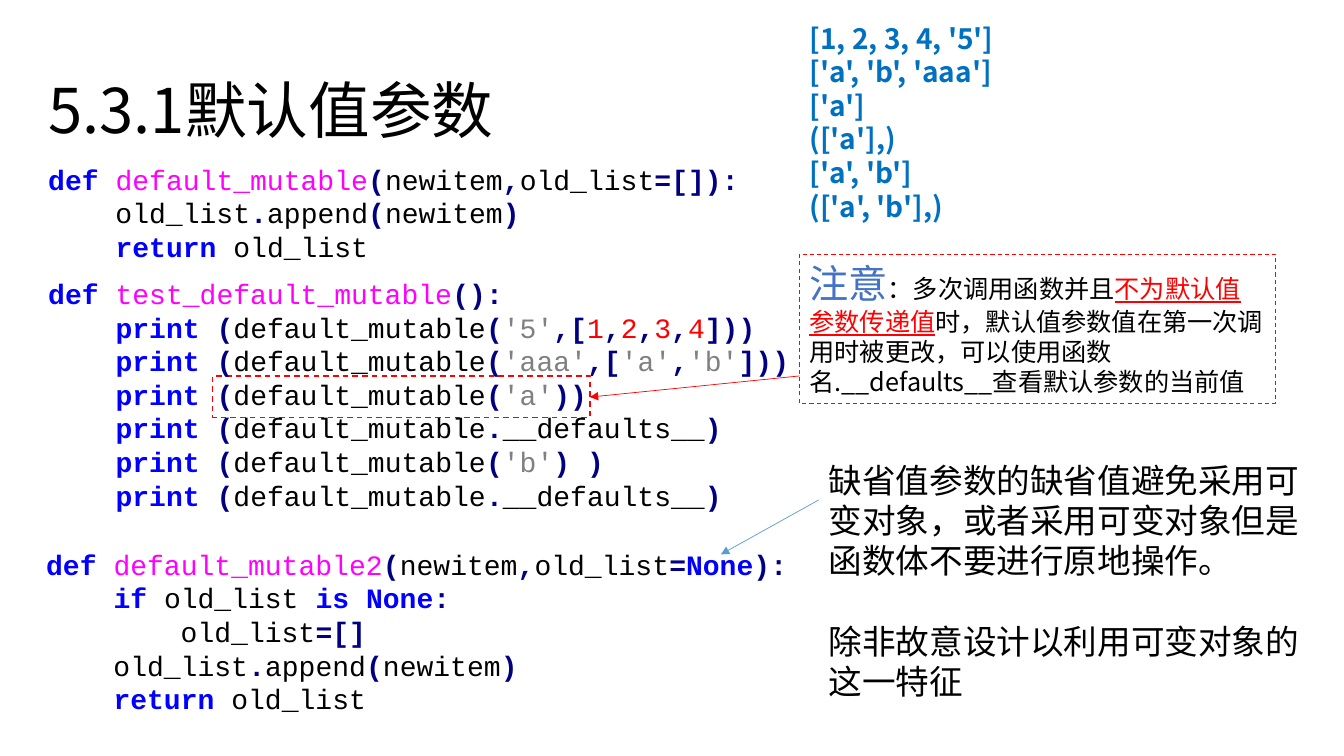
from dataclasses import dataclass
from itertools import groupby

from lxml import etree
from pptx import Presentation
from pptx.dml.color import RGBColor
from pptx.enum.dml import MSO_LINE
from pptx.enum.shapes import MSO_CONNECTOR, MSO_SHAPE
from pptx.enum.text import MSO_ANCHOR, PP_ALIGN
from pptx.oxml.ns import qn
from pptx.util import Inches, Pt

RECTANGLE = MSO_SHAPE.RECTANGLE
STRAIGHT = MSO_CONNECTOR.STRAIGHT
DASH = MSO_LINE.DASH
TOP, MIDDLE = MSO_ANCHOR.TOP, MSO_ANCHOR.MIDDLE
LEFT = PP_ALIGN.LEFT

BLACK = RGBColor(0x00, 0x00, 0x00)
RED = RGBColor(0xFF, 0x00, 0x00)
KEYWORD_BLUE = RGBColor(0x00, 0x00, 0xFF)
NAME_MAGENTA = RGBColor(0xFF, 0x00, 0xFF)
SYMBOL_NAVY = RGBColor(0x00, 0x00, 0x80)
STRING_GREY = RGBColor(0x80, 0x80, 0x80)
OUTPUT_BLUE = RGBColor(0x00, 0x70, 0xC0)
NOTE_BLUE = RGBColor(0x44, 0x72, 0xC4)
ARROW_BLUE = RGBColor(0x5B, 0x9B, 0xD5)

SANS = "Noto Sans CJK SC"
MONO = "Courier New"
KEYWORDS = {"def", "return", "print", "if", "is", "None"}

FIRST_CODE = """def default_mutable(newitem,old_list=[]):
    old_list.append(newitem)
    return old_list
def test_default_mutable():
    print (default_mutable('5',[1,2,3,4]))
    print (default_mutable('aaa',['a','b']))
    print (default_mutable('a'))
    print (default_mutable.__defaults__)
    print (default_mutable('b') )
    print (default_mutable.__defaults__)"""

SECOND_CODE = """def default_mutable2(newitem,old_list=None):
    if old_list is None:
        old_list=[]
    old_list.append(newitem)
    return old_list"""

OUTPUT = """[1, 2, 3, 4, '5']
['a', 'b', 'aaa']
['a']
(['a'],)
['a', 'b']
(['a', 'b'],)"""

ADVICE = [
    "缺省值参数的缺省值避免采用可变对象，或者采用可变对象但是函数体不要进行原地操作。",
    "除非故意设计以利用可变对象的这一特征",
]


@dataclass
class Span:
    text: str
    color: RGBColor = BLACK
    bold: bool = False
    underline: bool = False
    size: float = None


def character_class(character):
    if character == " ":
        return "space"
    return "word" if character.isalnum() or character in "_'" else "symbol"


def highlight(line):
    """Split one line of code into coloured spans."""
    spans, previous = [], ""
    for kind, characters in groupby(line, character_class):
        token = "".join(characters)
        if kind == "space":
            spans.append(Span(token))
            continue
        if kind == "symbol":
            span = Span(token, SYMBOL_NAVY, bold=True)
        elif token in KEYWORDS:
            span = Span(token, KEYWORD_BLUE, bold=True)
        elif previous == "def":
            span = Span(token, NAME_MAGENTA)
        elif token.startswith("'"):
            span = Span(token, STRING_GREY)
        else:
            span = Span(token, RED if token.isdigit() else BLACK)
        spans.append(span)
        previous = token
    return spans


class SlideBuilder:
    """Places elements by percentages of the slide's width and height."""

    def __init__(self, deck):
        self.deck = deck
        self.page = deck.slides.add_slide(deck.slide_layouts[6])

    def across(self, share):
        return round(self.deck.slide_width * share / 100)

    def down(self, share):
        return round(self.deck.slide_height * share / 100)

    def area(self, left, top, width, height):
        return self.across(left), self.down(top), self.across(width), self.down(height)

    def fill_text(self, frame, paragraphs, size, font, gap=0, spacing=None, anchor=TOP):
        """Fill a frame; gap is the space above a second block, in points."""
        frame.word_wrap = True
        frame.vertical_anchor = anchor
        for index, spans in enumerate(paragraphs):
            para = frame.paragraphs[0] if index == 0 else frame.add_paragraph()
            para.alignment = LEFT
            para.font.size, para.font.name = Pt(size), font
            defaults = para._p.pPr.find(qn("a:defRPr"))
            etree.SubElement(defaults, qn("a:ea")).set("typeface", font)
            if spacing:
                para.line_spacing = spacing
            if gap and index and (font == SANS or spans[0].text == "def"):
                para.space_before = Pt(gap)
            for span in spans:
                run = para.add_run()
                run.text = span.text
                run.font.color.rgb = span.color
                run.font.bold = span.bold
                if span.underline:
                    run.font.underline = True
                if span.size:
                    run.font.size = Pt(span.size)

    def text(self, area, paragraphs, size, font=SANS, **style):
        box = self.page.shapes.add_textbox(*self.area(*area))
        self.fill_text(box.text_frame, paragraphs, size, font, **style)

    def code(self, area, source):
        lines = [highlight(line) for line in source.splitlines()]
        self.text(area, lines, 20, MONO, gap=9.6, spacing=Pt(24))

    def dashed_box(self, area, weight):
        box = self.page.shapes.add_shape(RECTANGLE, *self.area(*area))
        box.shadow.inherit = False
        box.fill.background()
        box.line.color.rgb = RED
        box.line.width = Pt(weight)
        box.line.dash_style = DASH
        return box

    def arrow(self, start, end, color):
        connector = self.page.shapes.add_connector(
            STRAIGHT, self.across(start[0]), self.down(start[1]),
            self.across(end[0]), self.down(end[1]))
        connector.line.color.rgb = color
        connector.line.width = Pt(0.5)
        properties = connector._element.spPr
        outline = properties.find(qn("a:ln"))
        etree.SubElement(outline, qn("a:tailEnd")).set("type", "triangle")
        etree.SubElement(properties, qn("a:effectLst"))


def main():
    deck = Presentation()
    deck.slide_width, deck.slide_height = Inches(13.33), Inches(7.5)
    slide = SlideBuilder(deck)

    # Title
    slide.text((2.85, 5.33, 86.27, 19.33), [[Span("5.3.1默认值参数")]], 44,
               spacing=0.9, anchor=MIDDLE)

    # Highlighted call and the note about it
    slide.dashed_box((15.83, 49.73, 28.06, 5.47), 1)
    note = slide.dashed_box((59.49, 33.6, 35.41, 19.73), 0.75)
    slide.fill_text(note.text_frame, [[
        Span("注意", NOTE_BLUE, size=28),
        Span("：多次调用函数并且"),
        Span("不为默认值参数传递值", RED, underline=True),
        Span("时，默认值参数值在第一次调用时被更改，可以使用函数名.__defaults__查看默认参数的当前值"),
    ]], 18, SANS)
    slide.arrow((59.49, 49.73), (43.89, 52.53), RED)

    # Code
    slide.code((2.7, 71.73, 56.79, 23.73), SECOND_CODE)
    slide.code((2.85, 20.8, 60.69, 48), FIRST_CODE)

    # Program output
    slide.text((59.49, 2.13, 16.8, 28.27),
               [[Span(line, OUTPUT_BLUE, bold=True)] for line in OUTPUT.splitlines()],
               20, spacing=Pt(24))

    # Advice pointing at the safer default
    slide.text((60.92, 60.13, 36.53, 33.6), [[Span(line)] for line in ADVICE],
               24, gap=28.8, spacing=Pt(28.8))
    slide.arrow((60.92, 66.13), (53.64, 73.33), ARROW_BLUE)

    deck.save("out.pptx")


if __name__ == "__main__":
    main()
